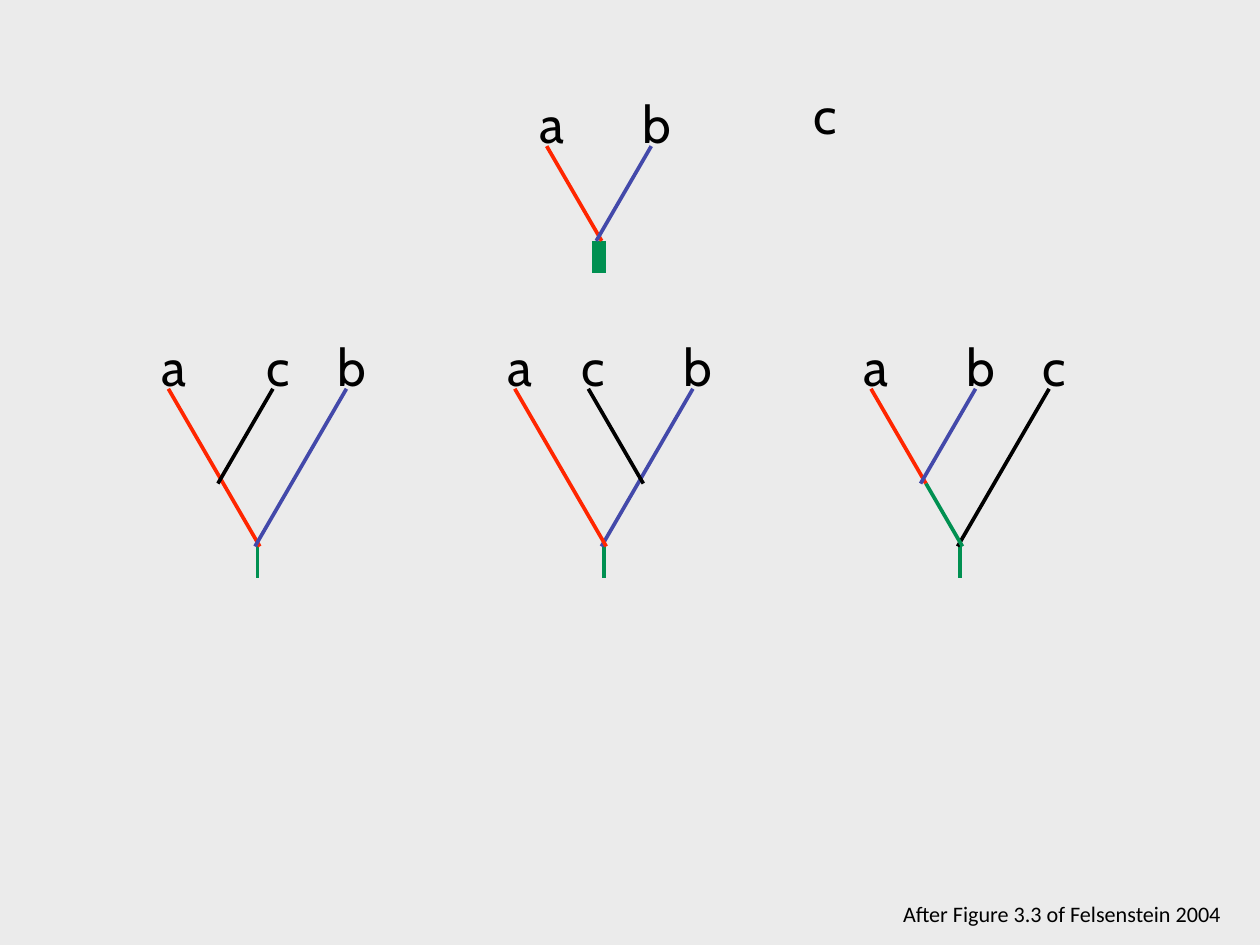
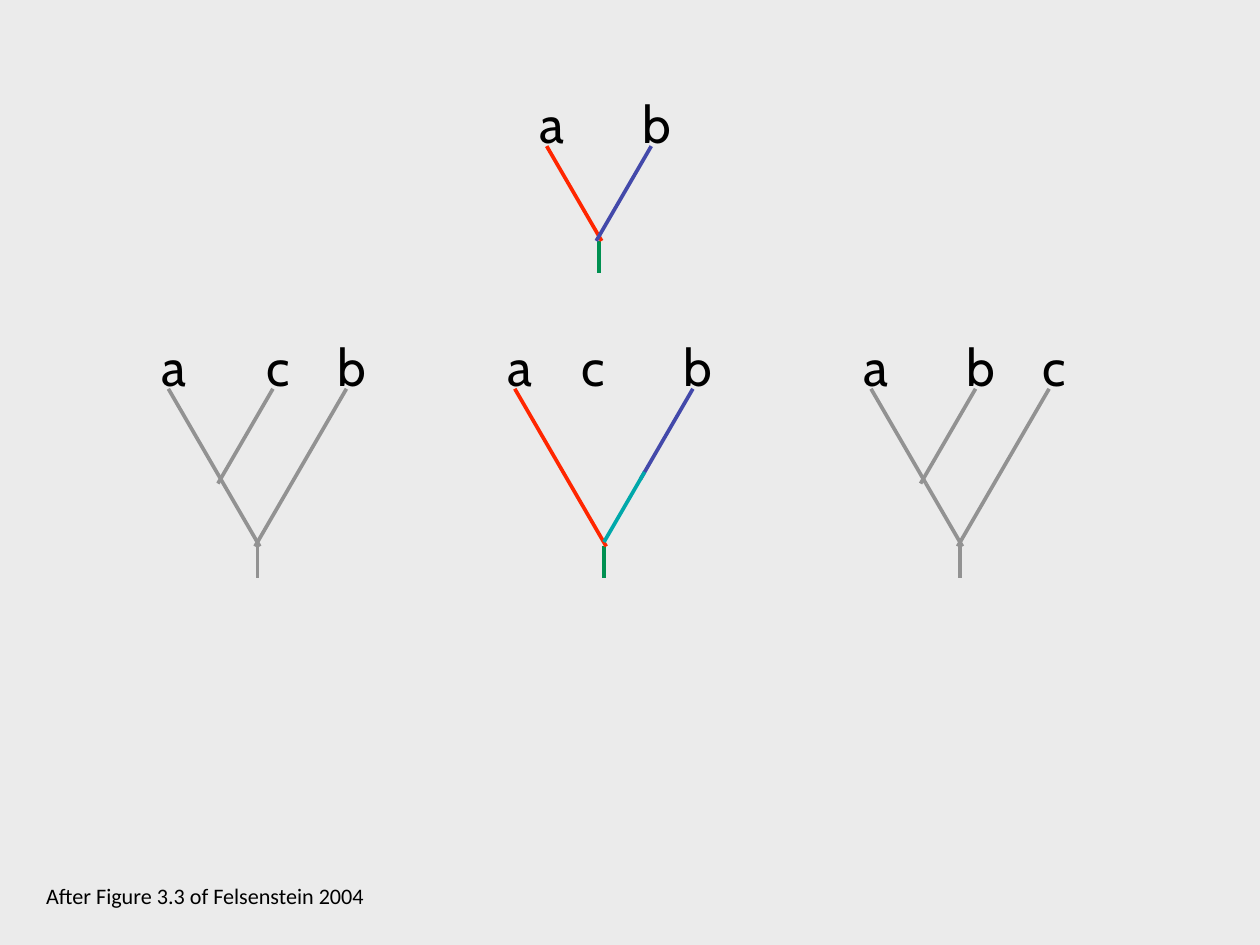
import pptx
import pptx.util
import pptx.dml.color
import pptx.enum.shapes
import pptx.enum.text
import pptx.oxml
import pptx.oxml.ns

inch = pptx.util.Inches


class Theme:
    back, ink, grey = "EBEBEB", "000000", "929292"
    red, blue, green, teal = "FF2600", "4349AA", "009051", "00A8AA"
    label = ("Cabin", 42)
    note = ("Calibri", 18)
    thin, thick = 3, 12


def draw(shapes, x1, y1, x2, y2, tone, width):
    line = shapes.add_connector(
        pptx.enum.shapes.MSO_CONNECTOR.STRAIGHT,
        inch(x1), inch(y1), inch(x2), inch(y2))
    line.line.color.rgb = pptx.dml.color.RGBColor.from_string(tone)
    line.line.width = pptx.util.Pt(width)
    props = line._element.spPr
    props.append(pptx.oxml.parse_xml(
        "<a:effectLst %s/>" % pptx.oxml.ns.nsdecls("a")))


def write(shapes, text, x, y, wide, high, style):
    box = shapes.add_textbox(inch(x), inch(y), inch(wide), inch(high))
    frame = box.text_frame
    frame.word_wrap = True
    frame.auto_size = pptx.enum.text.MSO_AUTO_SIZE.SHAPE_TO_FIT_TEXT
    frame.vertical_anchor = pptx.enum.text.MSO_ANCHOR.MIDDLE
    frame.margin_left = frame.margin_right = inch(0.06)
    frame.margin_top = frame.margin_bottom = inch(0.06)
    para = frame.paragraphs[0]
    para.text = text
    para.alignment = pptx.enum.text.PP_ALIGN.CENTER
    para.font.name, size = style
    para.font.size = pptx.util.Pt(size)
    para.font.color.rgb = pptx.dml.color.RGBColor.from_string(Theme.ink)


deck = pptx.Presentation()
deck.slide_width, deck.slide_height = inch(14.22), inch(10.67)

# Shared background
fill = deck.slide_master.background.fill
fill.solid()
fill.fore_color.rgb = pptx.dml.color.RGBColor.from_string(Theme.back)

# Tree grid: tip columns, depths below the tips, sideways run per depth
left, inner, outer, right = 0, 0.83, 1.18, 2.01
fork, base, stem, slope = 1.07, 1.78, 0.36, 0.58
top, low = 1.65, 4.39
cell = (0.6, 0.78)
shift, lift = 0.24, 0.65

# Each tree: left edge, tip line, root depth, tips
trees = [
    (6.17, top, fork, {"a": left, "b": outer}),
    (1.9, low, base, {"a": left, "c": outer, "b": right}),
    (5.81, low, base, {"a": left, "c": inner, "b": right}),
    (9.83, low, base, {"a": left, "b": outer, "c": right}),
]

# Each limb: tip it runs from, lean, start and end depth, colour
limbs = [
    [("a", 1, 0, fork, Theme.red), ("b", -1, 0, fork, Theme.blue)],
    [("a", 1, 0, base, Theme.red), ("c", -1, 0, fork, Theme.ink),
     ("b", -1, 0, base, Theme.blue)],
    [("b", -1, 0, base, Theme.blue), ("c", 1, 0, fork, Theme.ink),
     ("a", 1, 0, base, Theme.red)],
    [("a", 1, 0, fork, Theme.red), ("b", -1, 0, fork, Theme.blue),
     ("c", -1, 0, base, Theme.ink), ("a", 1, fork, base, Theme.green)],
]
split = [("b", -1, 0, 1.02, Theme.blue), ("a", 1, 0, base, Theme.red),
         ("b", -1, 0.94, 1.73, Theme.teal)]

# Each slide: limbs, greyed trees, stem width of the top tree, note place
views = [
    (limbs, (), Theme.thick, (9.9, 10.11)),
    (limbs[:2] + [split] + limbs[3:], (1, 3), Theme.thin, (0.23, 9.9)),
]

for sets, faded, width, spot in views:
    slide = deck.slides.add_slide(deck.slide_layouts[6])

    # Trees
    for num, (x, y, root, tips) in enumerate(trees):
        group = slide.shapes.add_group_shape().shapes
        mid = x + max(tips.values()) / 2
        draw(group, mid, y + root, mid, y + root + stem,
             Theme.grey if num in faded else Theme.green,
             Theme.thin if num else width)
        for tip, lean, start, end, tone in sets[num]:
            foot = x + tips[tip]
            draw(group, foot + lean * slope * start, y + start,
                 foot + lean * slope * end, y + end,
                 Theme.grey if num in faded else tone, Theme.thin)
        for name, col in tips.items():
            write(group, name, x + col - shift, y - lift, *cell, Theme.label)

    # Taxon still to be placed
    if not faded:
        write(slide.shapes, "c", 9.01, 0.89, *cell, Theme.label)

    # Source note
    write(slide.shapes, "After Figure 3.3 of Felsenstein 2004",
          *spot, 4.17, 0.42, Theme.note)

deck.save("out.pptx")
